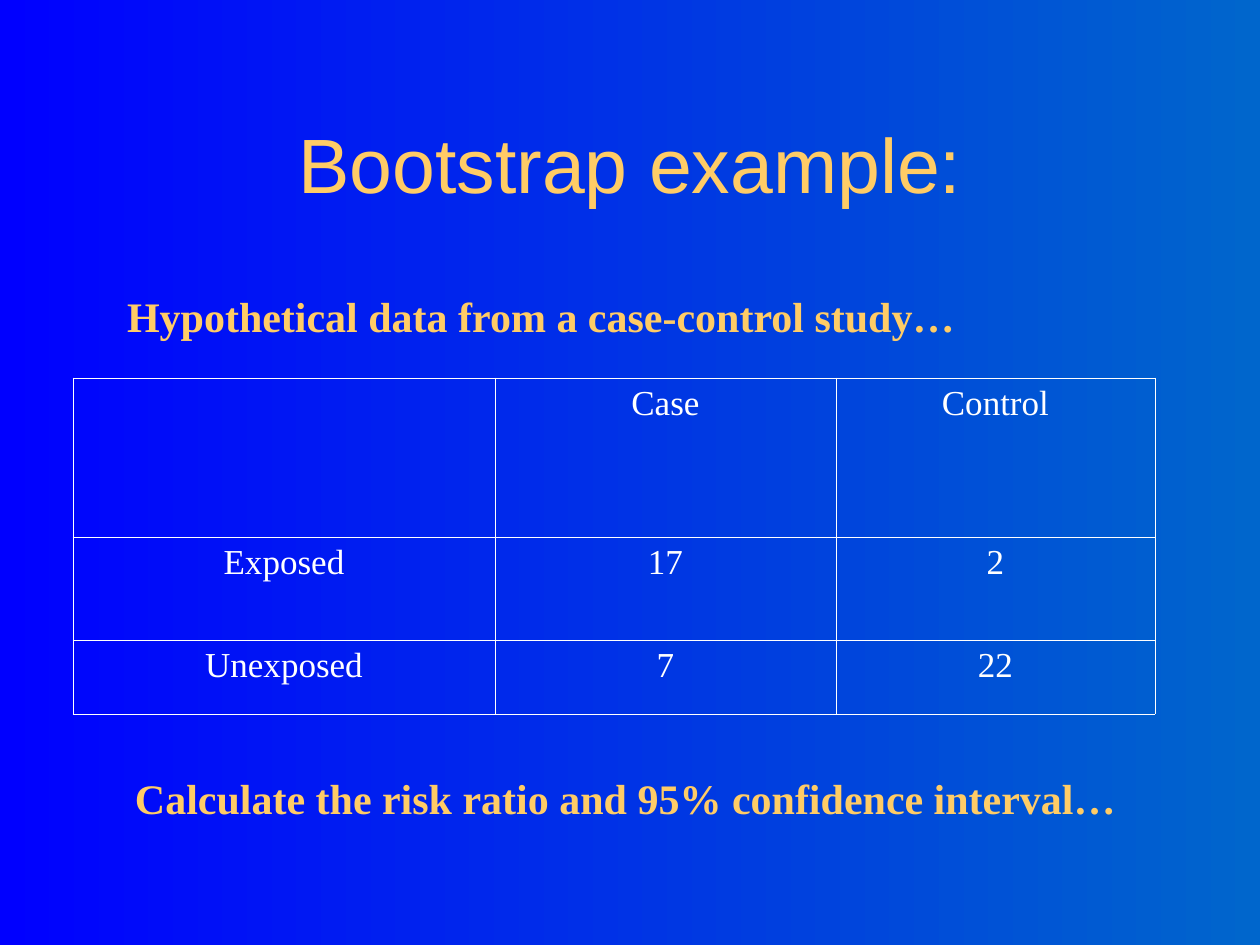
import pptx
import pptx.dml.color
import pptx.enum.text
import pptx.oxml
import pptx.oxml.ns
import pptx.util

PX = 914400 / 126
COLORS = {"left": "0000FF", "right": "0066CC", "accent": "FFCC66", "white": "FFFFFF"}
SERIF = "Times New Roman"


def px(length):
    return pptx.util.Emu(round(length * PX))


def write(frame, text, size, font, color, bold=False):
    paragraph = frame.paragraphs[0]
    paragraph.alignment = pptx.enum.text.PP_ALIGN.CENTER
    run = paragraph.add_run()
    run.text = text
    run.font.size = pptx.util.Pt(size)
    run.font.name = font
    run.font.bold = bold
    run.font.color.rgb = pptx.dml.color.RGBColor.from_string(COLORS[color])
    return paragraph


deck = pptx.Presentation()
deck.slide_width, deck.slide_height = px(1260), px(945)
slide = deck.slides.add_slide(deck.slide_layouts[6])

# Background gradient, running from right to left
background = slide.background.fill
background.gradient()
background.gradient_angle = 180
for stop, position, color in zip(background.gradient_stops, (0, 1), ("right", "left")):
    stop.position = position
    stop.color.rgb = pptx.dml.color.RGBColor.from_string(COLORS[color])

# Title
title = slide.shapes.add_textbox(px(95), px(84), px(1071), px(158)).text_frame
title.word_wrap = True
title.vertical_anchor = pptx.enum.text.MSO_ANCHOR.MIDDLE
write(title, "Bootstrap example:", 44, "Arial", "accent")

# Case-control table
counts = [
    ["", "Case", "Control"],
    ["Exposed", "17", "2"],
    ["Unexposed", "7", "22"],
]
widths = [422, 341, 319]
heights = [159, 103, 74]
study = slide.shapes.add_table(
    3, 3, px(73), px(378), px(sum(widths)), px(sum(heights))
).table
study.first_row = study.horz_banding = False
for column, width in zip(study.columns, widths):
    column.width = px(width)
for row, height, labels in zip(study.rows, heights, counts):
    row.height = px(height)
    for cell, label in zip(row.cells, labels):
        if label:
            write(cell.text_frame, label, 20, SERIF, "white")
        # Borders go before the fill in the cell properties
        properties = cell._tc.get_or_add_tcPr()
        for side in ("lnL", "lnR", "lnT", "lnB"):
            properties.append(pptx.oxml.parse_xml(
                f'<a:{side} {pptx.oxml.ns.nsdecls("a")} w="{round(0.45 * 12700)}">'
                f'<a:solidFill><a:srgbClr val="{COLORS["white"]}"/></a:solidFill>'
                f'</a:{side}>'
            ))
        cell.fill.background()

# Lines above and below the table
for left, top, width, sentence in (
    (84, 284, 914, "Hypothetical data from a case-control study…"),
    (95, 766, 1061, "Calculate the risk ratio and 95% confidence interval…"),
):
    note = slide.shapes.add_textbox(px(left), px(top), px(width), px(57)).text_frame
    note.word_wrap = True
    note.margin_bottom = 0
    note.auto_size = pptx.enum.text.MSO_AUTO_SIZE.SHAPE_TO_FIT_TEXT
    paragraph = write(note, sentence, 24, SERIF, "accent", bold=True)
    paragraph.space_before = pptx.util.Pt(15)

deck.save("out.pptx")
